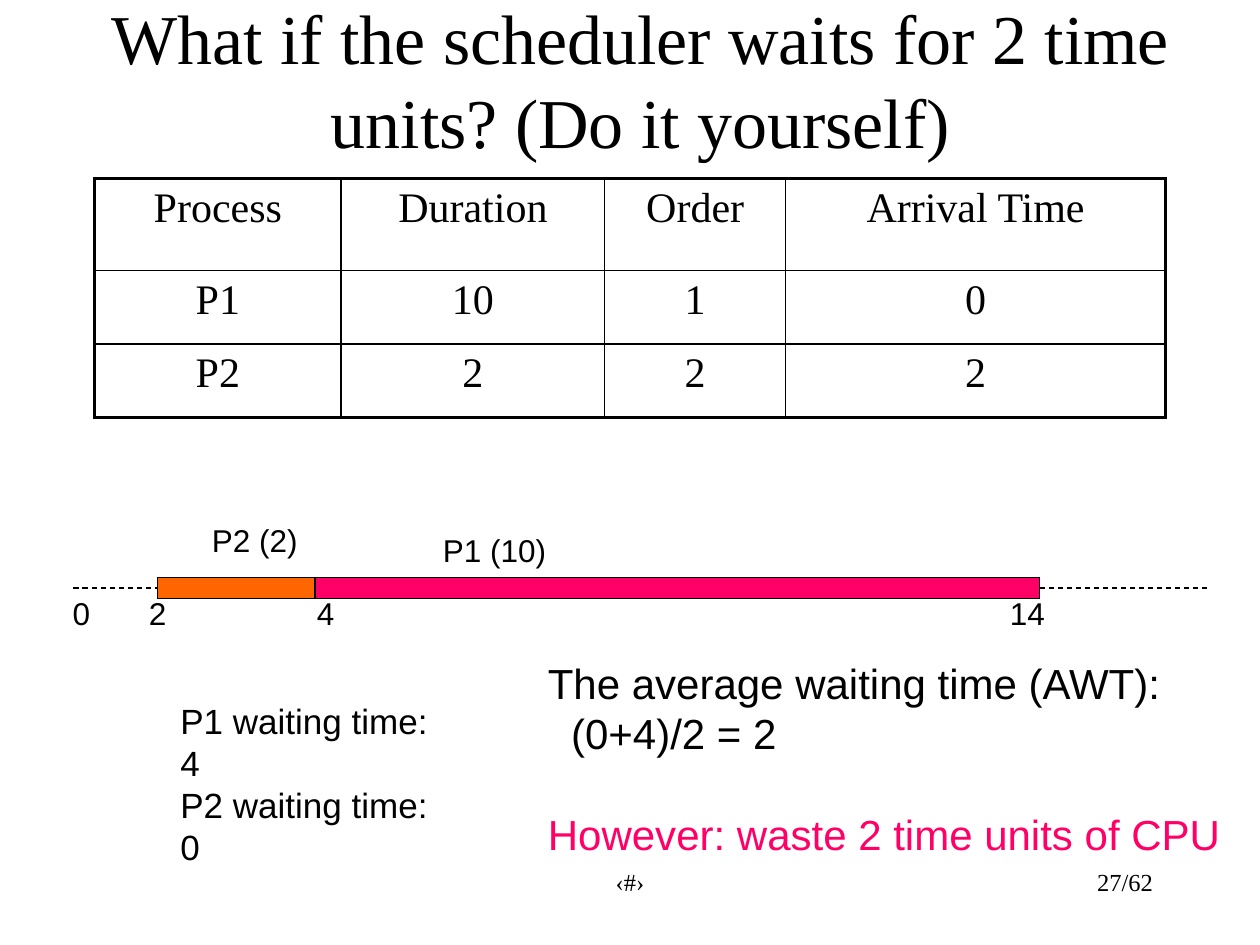
from lxml import etree
from pptx import Presentation
from pptx.dml.color import RGBColor
from pptx.enum import dml, shapes, text
from pptx.oxml import ns
from pptx.util import Pt

BLACK = RGBColor(0, 0, 0)
PINK = RGBColor(0xFF, 0, 0x66)
ORANGE = RGBColor(0xFF, 0x66, 0)
SANS, SERIF = "Arial", "Times New Roman"
LEFT, CENTER, RIGHT = text.PP_ALIGN.LEFT, text.PP_ALIGN.CENTER, text.PP_ALIGN.RIGHT


def write(p, words, size, font=SANS, color=BLACK, align=LEFT):
    """Add one formatted run to a paragraph."""
    p.alignment = align
    r = p.add_run()
    r.text = words
    r.font.size, r.font.name, r.font.bold = Pt(size), font, False
    r.font.color.rgb = color


def add_box(x, y, w, h, wrap=True):
    """Add an empty text box and return its text frame."""
    tf = slide.shapes.add_textbox(Pt(x), Pt(y), Pt(w), Pt(h)).text_frame
    tf.word_wrap = wrap
    return tf


prs = Presentation()
prs.slide_width, prs.slide_height = Pt(720), Pt(540)
slide = prs.slides.add_slide(prs.slide_layouts[5])

# Title
title = slide.shapes.title
title.left, title.top, title.width, title.height = Pt(24), Pt(0), Pt(684), Pt(90)
title.text_frame.vertical_anchor = text.MSO_ANCHOR.MIDDLE
write(title.text_frame.paragraphs[0],
      "What if the scheduler waits for 2 time units? (Do it yourself)",
      40, SERIF, align=CENTER)

# Waiting times
tf = add_box(96, 396, 172, 55.5)
write(tf.paragraphs[0], "P1 waiting time: 4", 20)
write(tf.add_paragraph(), "P2 waiting time: 0", 20)

# Average and conclusion
tf = add_box(306, 372, 399, 122.5, wrap=False)
write(tf.paragraphs[0], "The average waiting time (AWT):", 24)
p = tf.add_paragraph()
write(p, "(0+4)/2 = 2", 24)
p._p.get_or_add_pPr().set("marL", str(Pt(13.3)))
p = tf.add_paragraph()
p.space_before = Pt(28.8)
write(p, "However: waste 2 time units of CPU", 24, color=PINK)

# Timeline: dashed axis, start tick, bars and labels
AXIS_Y, BAR_TOP, BAR_H = 336, 330, 12
for x1, y1, x2, y2, dash in [
    (42, AXIS_Y, 690, AXIS_Y, dml.MSO_LINE.DASH),
    (90, BAR_TOP, 90, BAR_TOP + BAR_H, None),
]:
    line = slide.shapes.add_connector(
        shapes.MSO_CONNECTOR.STRAIGHT, Pt(x1), Pt(y1), Pt(x2), Pt(y2))
    line.line.color.rgb = BLACK
    line.line.width = Pt(0.75)
    line.line.dash_style = dash
    etree.SubElement(line._element.spPr, ns.qn("a:effectLst"))

for x, w, color in [(180, 414, PINK), (90, 90, ORANGE)]:
    bar = slide.shapes.add_shape(
        shapes.MSO_SHAPE.RECTANGLE, Pt(x), Pt(BAR_TOP), Pt(w), Pt(BAR_H))
    bar.shadow.inherit = False
    bar.fill.solid()
    bar.fill.fore_color.rgb = color
    bar.line.color.rgb = BLACK
    bar.line.width = Pt(0.75)

for label, x, y, w, wrap in [
    ("0", 34.5, AXIS_Y, 24.5, True),
    ("2", 78, AXIS_Y, 150, True),
    ("4", 174, AXIS_Y, 24.5, True),
    ("14", 570, AXIS_Y, 34.5, False),
    ("P1 (10)", 246, 300, 73.5, False),
    ("P2 (2)", 114, 294, 63.5, False),
]:
    write(add_box(x, y, w, 29, wrap).paragraphs[0], label, 18)

# Process table
rows = [
    ["Process", "Duration", "Order", "Arrival Time"],
    ["P1", "10", "1", "0"],
    ["P2", "2", "2", "2"],
]
col_widths, row_heights = [141, 150.5, 103.5, 217], [52.5, 42, 42]
table = slide.shapes.add_table(
    len(rows), len(col_widths), Pt(54), Pt(102),
    Pt(sum(col_widths)), Pt(sum(row_heights))).table
table.first_row = table.horz_banding = False
for col, w in zip(table.columns, col_widths):
    col.width = Pt(w)
for row, h in zip(table.rows, row_heights):
    row.height = Pt(h)
for i, values in enumerate(rows):
    for j, value in enumerate(values):
        cell = table.cell(i, j)
        write(cell.text_frame.paragraphs[0], value, 24, SERIF, align=CENTER)
        tcPr = cell._tc.get_or_add_tcPr()
        outer = {"lnL": j == 0, "lnR": j == len(values) - 1,
                 "lnT": i == 0, "lnB": i == len(rows) - 1}
        for side, is_outer in outer.items():
            ln = etree.SubElement(tcPr, ns.qn(f"a:{side}"),
                                  w=str(Pt(2.25 if is_outer else 1)))
            fill = etree.SubElement(ln, ns.qn("a:solidFill"))
            etree.SubElement(fill, ns.qn("a:srgbClr"), val=str(BLACK))
        cell.fill.background()

# Footer
for words, x, w, align in [("27/62", 516, 150, RIGHT), ("‹#›", 246, 228, CENTER)]:
    write(add_box(x, 492, w, 36).paragraphs[0], words, 14, SERIF, align=align)

prs.save("out.pptx")
